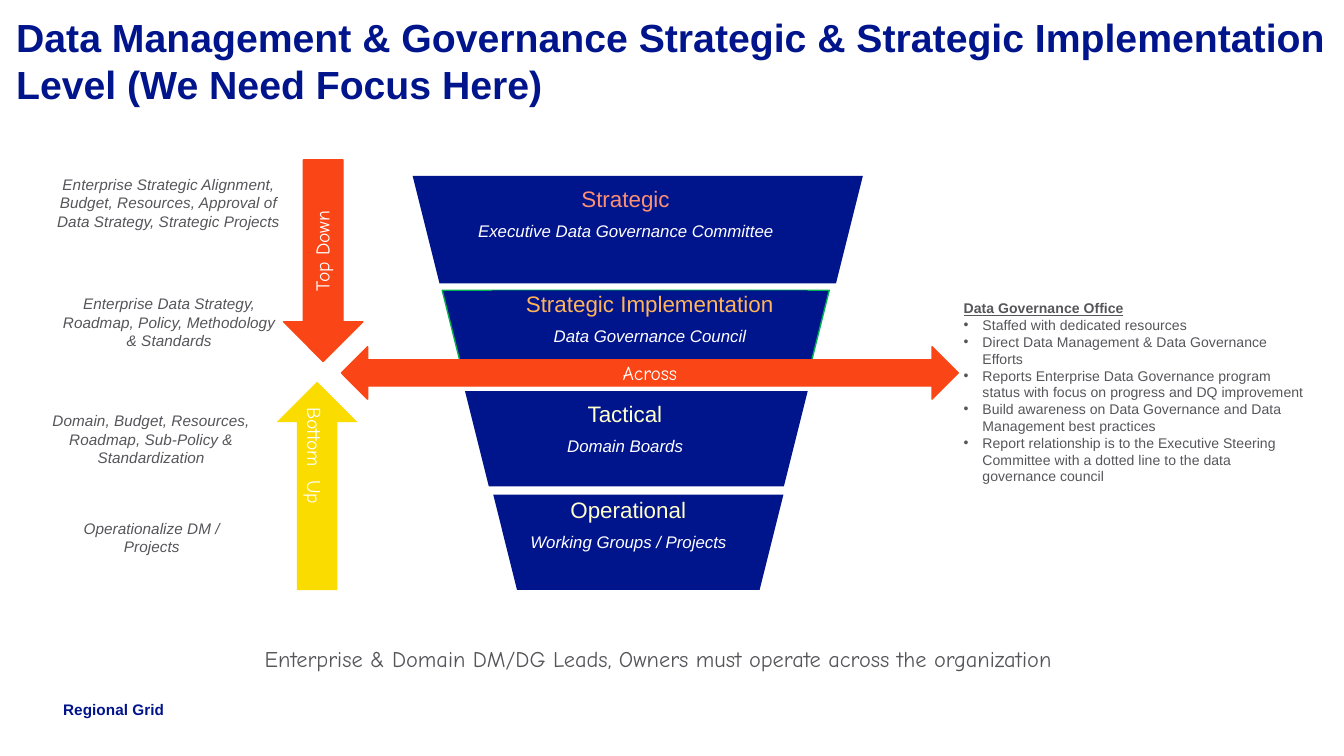
from pptx import Presentation
from pptx.dml.color import RGBColor as Rgb
from pptx.enum.shapes import MSO_SHAPE as Kind
from pptx.enum.text import MSO_ANCHOR as Anchor, MSO_AUTO_SIZE as Fit, PP_ALIGN as Align
from pptx.oxml.ns import qn
from pptx.util import Inches, Pt
from lxml.etree import SubElement as Sub

HUES = {
    "navy": "00148C", "red": "FA4616", "gold": "FADC00", "gray": "55555A",
    "green": "00B050", "white": "FFFFFF", "coral": "FC9073",
    "amber": "FFB45A", "cream": "FFFFCC",
}

TIERS = [
    ("Strategic", "Executive Data Governance Committee", "coral",
     (3.07, 1.31, 3.35, 0.8), (3.46, 1.38, 2.39, 0.42), None),
    ("Strategic Implementation", "Data Governance Council", "amber",
     (3.29, 2.16, 2.88, 0.68), (3.66, 2.16, 2.35, 0.42), "green"),
    ("Tactical", "Domain Boards", "cream",
     (3.46, 2.91, 2.55, 0.71), (3.74, 2.98, 1.82, 0.42), None),
    ("Operational", "Working Groups / Projects", "cream",
     (3.67, 3.68, 2.16, 0.71), (3.79, 3.69, 1.77, 0.42), None),
]

NOTES = [
    ("Enterprise Strategic Alignment, Budget, Resources, Approval of "
     "Data Strategy, Strategic Projects", (0.41, 1.3, 1.69, 0.42)),
    ("Enterprise Data Strategy, Roadmap, Policy, Methodology & Standards",
     (0.46, 2.19, 1.6, 0.42)),
    ("Domain, Budget, Resources, Roadmap, Sub-Policy & Standardization",
     (0.28, 3.06, 1.69, 0.42)),
    ("Operationalize DM / Projects", (0.46, 3.86, 1.34, 0.28)),
]

DUTIES = [
    "Staffed with dedicated resources",
    "Direct Data Management & Data Governance Efforts",
    "Reports Enterprise Data Governance program status with focus on "
    "progress and DQ improvement",
    "Build awareness on Data Governance and Data Management best practices",
    "Report relationship is to the Executive Steering Committee with a "
    "dotted line to the data governance council",
]


def hue(name):
    """Return the named colour."""
    return Rgb.from_string(HUES[name])


def place(shape, box):
    """Move and size a shape in inches."""
    shape.left, shape.top, shape.width, shape.height = map(Inches, box)


def frame(shape, anchor=Anchor.TOP, pad=(0, 0)):
    """Set wrapping, insets and anchor of a shape's text."""
    body = shape.text_frame
    body.word_wrap = True
    body.auto_size = Fit.NONE
    body.vertical_anchor = anchor
    body.margin_left = body.margin_right = Inches(pad[0])
    body.margin_top = body.margin_bottom = Inches(pad[1])
    return body


def write(para, text, size=8.25, color="gray", font="Arial", bold=False,
          italic=False, under=False, align=Align.CENTER, after=0):
    """Add a formatted run to a paragraph."""
    para.alignment = align
    para.space_before, para.space_after = Pt(0), Pt(after)
    run = para.add_run()
    run.text = text
    face = run.font
    face.name, face.size, face.color.rgb = font, Pt(size), hue(color)
    face.bold, face.italic, face.underline = bold, italic, under
    return run


def label(slide, text, box, anchor=Anchor.TOP, **style):
    """Add a text box with one paragraph."""
    area = slide.shapes.add_textbox(*map(Inches, box))
    write(frame(area, anchor).paragraphs[0], text, **style)


def block(slide, kind, box, fill, line=None):
    """Add a filled preset shape."""
    shape = slide.shapes.add_shape(kind, *map(Inches, box))
    shape.shadow.inherit = False
    shape.fill.solid()
    shape.fill.fore_color.rgb = hue(fill)
    if line:
        shape.line.color.rgb = hue(line)
        shape.line.width = Pt(0.75)
    else:
        shape.line.fill.background()
    return shape


def tier(slide, name, group, color, box, area, line):
    """Add one level of the funnel with its name and group."""
    shape = block(slide, Kind.TRAPEZOID, box, "navy", line)
    shape._element.spPr.find(qn("a:xfrm")).set("flipV", "1")
    panel = block(slide, Kind.RECTANGLE, area, "navy")
    body = frame(panel)
    write(body.paragraphs[0], name, size=12, color=color, after=4.5)
    write(body.add_paragraph(), group, size=9, color="white", italic=True)


def arrow(slide, kind, box, fill, words, line=None, turn=None,
          anchor=Anchor.MIDDLE, align=Align.CENTER):
    """Add a block arrow whose words are set apart by wide spaces."""
    body = frame(block(slide, kind, box, fill, line), anchor, (0.07, 0.04))
    if turn:
        body._txBody.find(qn("a:bodyPr")).set("vert", turn)
    para = body.paragraphs[0]
    style = dict(color="white", align=align, after=3.4)
    for spot, word in enumerate(words):
        if spot:
            gap = write(para, " ", size=13.5, **style)
            gap.font._element.set("spc", "375")
        write(para, word, size=10.5, font="Comic Neue", **style)


def mark(para, sign=None):
    """Set or clear the bullet and indent of a paragraph."""
    props = para._p.get_or_add_pPr()
    dent = Inches(0.14) if sign else 0
    props.set("marL", str(dent))
    props.set("indent", str(-dent))
    if sign:
        tint = Sub(props, qn("a:buClr"))
        Sub(tint, qn("a:srgbClr")).set("val", HUES["gray"])
        Sub(props, qn("a:buFont")).set("typeface", "Arial")
        Sub(props, qn("a:buChar")).set("char", sign)
    else:
        Sub(props, qn("a:buNone"))


def office(holder):
    """Fill the body placeholder with the office's duties."""
    place(holder, (7.17, 2.23, 2.55, 1.39))
    body = frame(holder)
    head = body.paragraphs[0]
    mark(head)
    write(head, "Data Governance Office", size=7.5, bold=True, under=True,
          align=Align.LEFT)
    for duty in DUTIES:
        para = body.add_paragraph()
        mark(para, "•")
        write(para, duty, size=7.5, align=Align.LEFT)


def main():
    """Build the slide and save it."""
    deck = Presentation()
    deck.slide_width = Inches(10)
    deck.slide_height = deck.slide_width * 9 // 16
    slide = deck.slides.add_slide(deck.slide_layouts[1])
    title = slide.shapes.title
    place(title, (0.12, 0.1, 9.88, 0.47))
    write(frame(title).paragraphs[0],
          "Data Management & Governance Strategic & Strategic "
          "Implementation Level (We Need Focus Here)",
          size=21, color="navy", bold=True, align=Align.LEFT)
    label(slide, "Regional Grid", (0.47, 5.21, 1, 0.14), Anchor.BOTTOM,
          color="navy", bold=True, align=Align.LEFT)
    for level in TIERS:
        tier(slide, *level)
    arrow(slide, Kind.DOWN_ARROW, (2.11, 1.19, 0.59, 1.5), "red", ["Top Down"],
          line="red", turn="vert270", anchor=Anchor.BOTTOM)
    arrow(slide, Kind.UP_ARROW, (2.06, 2.84, 0.6, 1.55), "gold",
          ["Bottom", "Up"], turn="vert", align=Align.LEFT)
    arrow(slide, Kind.LEFT_RIGHT_ARROW, (2.54, 2.58, 4.59, 0.39), "red",
          ["Across"], line="red")
    for text, box in NOTES:
        label(slide, text, box, italic=True)
    office(slide.placeholders[1])
    label(slide, "Enterprise & Domain DM/DG Leads, Owners must operate "
          "across the organization", (0.9, 4.8, 8, 0.2), size=12,
          font="Comic Neue")
    deck.save("out.pptx")


if __name__ == "__main__":
    main()
